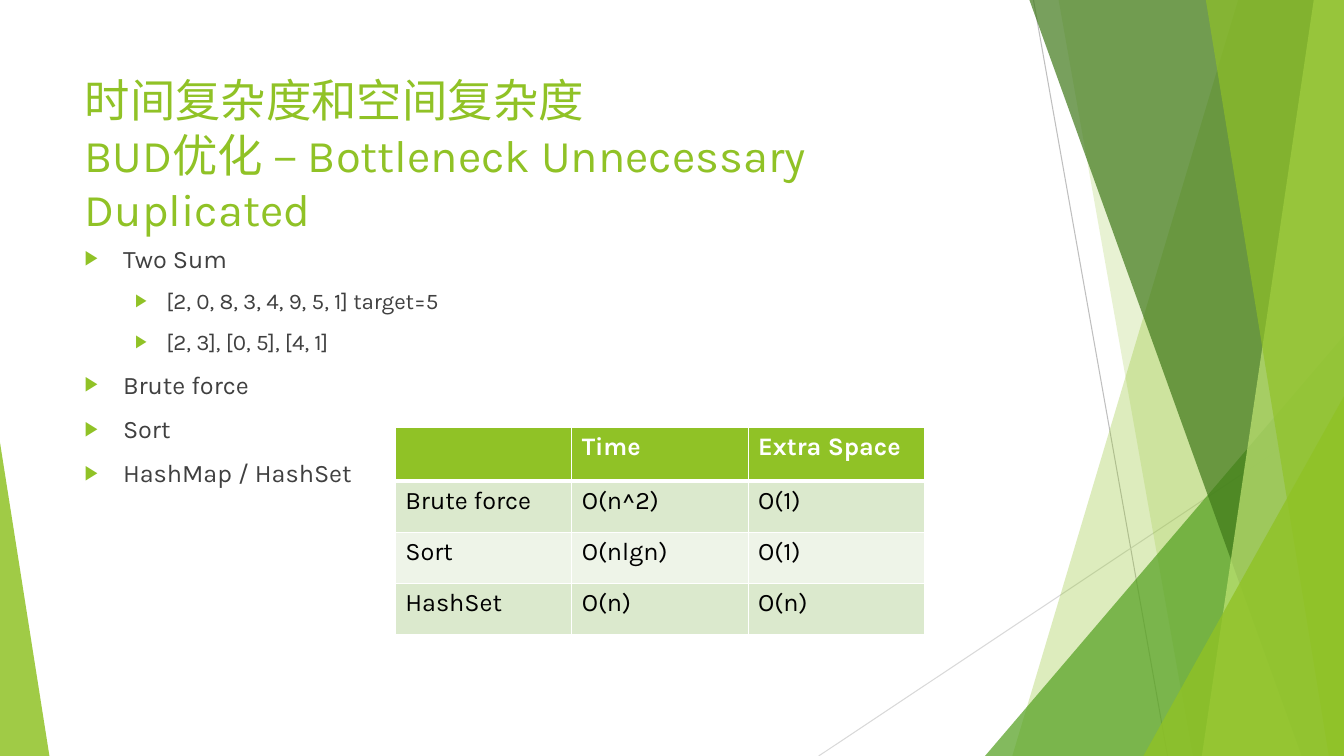
from dataclasses import dataclass

import pptx
import pptx.dml.color
import pptx.enum.shapes
import pptx.enum.text
import pptx.oxml
import pptx.oxml.ns
import pptx.util

Inches = pptx.util.Inches
Pt = pptx.util.Pt
qn = pptx.oxml.ns.qn
WIDTH, HEIGHT = 13.33, 7.5


@dataclass(frozen=True)
class Theme:
    """Colours, font and type sizes of the slide."""
    font: str = "Karla"
    accent: str = "90C226"
    green: str = "54A021"
    dark: str = "3F7819"
    pale: str = "C0E474"
    body: str = "404040"
    black: str = "000000"
    white: str = "FFFFFF"
    line: str = "BFBFBF"
    light_line: str = "D9D9D9"
    bands: tuple = ("DBE9CD", "EEF4E8")
    title_size: float = 32.4
    level_sizes: tuple = (18, 16)
    table_size: float = 18


T = Theme()


def rgb(color):
    """Turn a hex string into a colour."""
    return pptx.dml.color.RGBColor.from_string(color)


def xml(tag, **attrs):
    """Make one DrawingML element."""
    el = pptx.oxml.parse_xml(f"<a:{tag} {pptx.oxml.ns.nsdecls('a')}/>")
    for name, value in attrs.items():
        el.set(name, str(value))
    return el


def write(p, text, size, color, bold=False):
    """Write text into a paragraph, with newlines as line breaks."""
    for i, part in enumerate(text.split("\n")):
        if i:
            p.add_line_break()
        r = p.add_run()
        r.text = part
        r.font.name = T.font
        r.font.size = Pt(size)
        r.font.bold = bold
        r.font.color.rgb = rgb(color)


def paint(sp, color, opacity):
    """Give a shape a translucent fill with no outline or shadow."""
    sp.shadow.inherit = False
    sp.line.fill.background()
    sp.fill.solid()
    sp.fill.fore_color.rgb = rgb(color)
    clr = sp.element.spPr.find(qn("a:solidFill"))[0]
    clr.append(xml("alpha", val=opacity * 1000))


def add_line(s, x1, y1, x2, y2, color):
    """Draw a thin straight line."""
    sp = s.shapes.add_connector(pptx.enum.shapes.MSO_CONNECTOR.STRAIGHT,
                                *map(Inches, (x1, y1, x2, y2)))
    sp.line.color.rgb = rgb(color)
    sp.line.width = Pt(0.75)
    sp.element.spPr.append(xml("effectLst"))


def add_band(s, top_x, bottom_x, color, opacity):
    """Draw a full-height band from a slanted left edge to the slide's right edge."""
    fb = s.shapes.build_freeform(Inches(top_x), 0)
    corners = [(WIDTH, 0), (WIDTH, HEIGHT), (bottom_x, HEIGHT)]
    fb.add_line_segments([(Inches(x), Inches(y)) for x, y in corners], close=True)
    paint(fb.convert_to_shape(), color, opacity)


def add_triangle(s, left, top, width, apex, color, opacity):
    """Draw a right triangle standing on the slide's bottom edge."""
    sp = s.shapes.add_shape(pptx.enum.shapes.MSO_SHAPE.ISOSCELES_TRIANGLE,
                            *map(Inches, (left, top, width, HEIGHT - top)))
    sp.adjustments[0] = apex
    paint(sp, color, opacity)


def add_facets(s):
    """Draw the green facets at both sides, back to front."""
    add_line(s, 10.25, 0, 11.58, HEIGHT, T.line)
    add_line(s, WIDTH, 4.03, 8.12, HEIGHT, T.light_line)
    add_band(s, 12.28, 10.04, T.accent, 30)
    add_band(s, 10.5, 11.83, T.accent, 20)
    add_triangle(s, 9.77, 3.33, 3.56, 1, T.green, 72)
    add_band(s, 10.21, 12.91, T.dark, 70)
    add_band(s, 13.03, 11.92, T.pale, 70)
    add_band(s, 11.96, 13.18, T.accent, 65)
    add_triangle(s, 11.34, 3.93, 1.99, 1, T.accent, 80)
    add_triangle(s, 0, 4.39, 0.49, 0, T.accent, 85)


def place(s, sp, left, top, width, height):
    """Move a placeholder in front of the facets and return its text frame."""
    s.shapes.element.append(sp.element)
    sp.left, sp.top, sp.width, sp.height = map(Inches, (left, top, width, height))
    tf = sp.text_frame
    tf.word_wrap = True
    tf.auto_size = pptx.enum.text.MSO_AUTO_SIZE.NONE
    tf.vertical_anchor = pptx.enum.text.MSO_ANCHOR.TOP
    return tf


def fill_title(s, text):
    """Write the slide title."""
    p = place(s, s.shapes.title, 0.74, 0.67, 9.4, 1.44).paragraphs[0]
    p.alignment = pptx.enum.text.PP_ALIGN.LEFT
    write(p, text, T.title_size, T.accent)


def fill_list(s, items):
    """Write (level, text) items with arrow bullets."""
    tf = place(s, s.placeholders[1], 0.74, 2.36, 9.4, 4.24)
    indents = [(0.38, -0.38), (0.81, -0.31)]
    for i, (level, text) in enumerate(items):
        p = tf.add_paragraph() if i else tf.paragraphs[0]
        p.level = level
        p.space_before = Pt(10)
        write(p, text, T.level_sizes[level], T.body)
        pPr = p._p.get_or_add_pPr()
        margin, indent = indents[level]
        pPr.set("marL", str(Inches(margin)))
        pPr.set("indent", str(Inches(indent)))
        bullet_color = xml("buClr")
        bullet_color.append(xml("srgbClr", val=T.accent))
        pPr.extend([bullet_color, xml("buSzPct", val=80000),
                    xml("buFont", typeface="Arial"), xml("buChar", char="▶")])


def set_borders(cell, bottom=1, top=1):
    """Give a cell white borders, widths in points."""
    tcPr = cell._tc.get_or_add_tcPr()
    widths = {"lnL": 1, "lnR": 1, "lnT": top, "lnB": bottom}
    for i, (tag, width) in enumerate(widths.items()):
        ln, fill = xml(tag, w=Pt(width)), xml("solidFill")
        fill.append(xml("srgbClr", val=T.white))
        ln.append(fill)
        tcPr.insert(i, ln)


def add_table(s, rows):
    """Add the complexity table with a header row and banded rows."""
    table = s.shapes.add_table(len(rows), len(rows[0]), *map(
        Inches, (3.92, 4.24, 5.24, 2.06))).table
    for col in table.columns:
        col.width = Inches(1.75)
    for i, row in enumerate(rows):
        header = i == 0
        table.rows[i].height = Inches(0.53 if header else 0.51)
        for j, text in enumerate(row):
            cell = table.cell(i, j)
            cell.fill.solid()
            cell.fill.fore_color.rgb = rgb(T.accent if header else T.bands[(i - 1) % 2])
            set_borders(cell, bottom=3 if header else 1, top=3 if i == 1 else 1)
            if text:
                write(cell.text_frame.paragraphs[0], text, T.table_size,
                      T.white if header else T.black, bold=header)


def main():
    """Build the slide and save it."""
    prs = pptx.Presentation()
    prs.slide_width, prs.slide_height = Inches(WIDTH), Inches(HEIGHT)
    s = prs.slides.add_slide(prs.slide_layouts[1])
    add_facets(s)
    fill_title(s, "时间复杂度和空间复杂度\nBUD优化 – Bottleneck Unnecessary Duplicated")
    fill_list(s, [(0, "Two Sum"),
                  (1, "[2, 0, 8, 3, 4, 9, 5, 1] target=5"),
                  (1, "[2, 3], [0, 5], [4, 1]"),
                  (0, "Brute force"),
                  (0, "Sort"),
                  (0, "HashMap / HashSet")])
    add_table(s, [("", "Time", "Extra Space"),
                  ("Brute force", "O(n^2)", "O(1)"),
                  ("Sort", "O(nlgn)", "O(1)"),
                  ("HashSet", "O(n)", "O(n)")])
    prs.save("out.pptx")


main()
